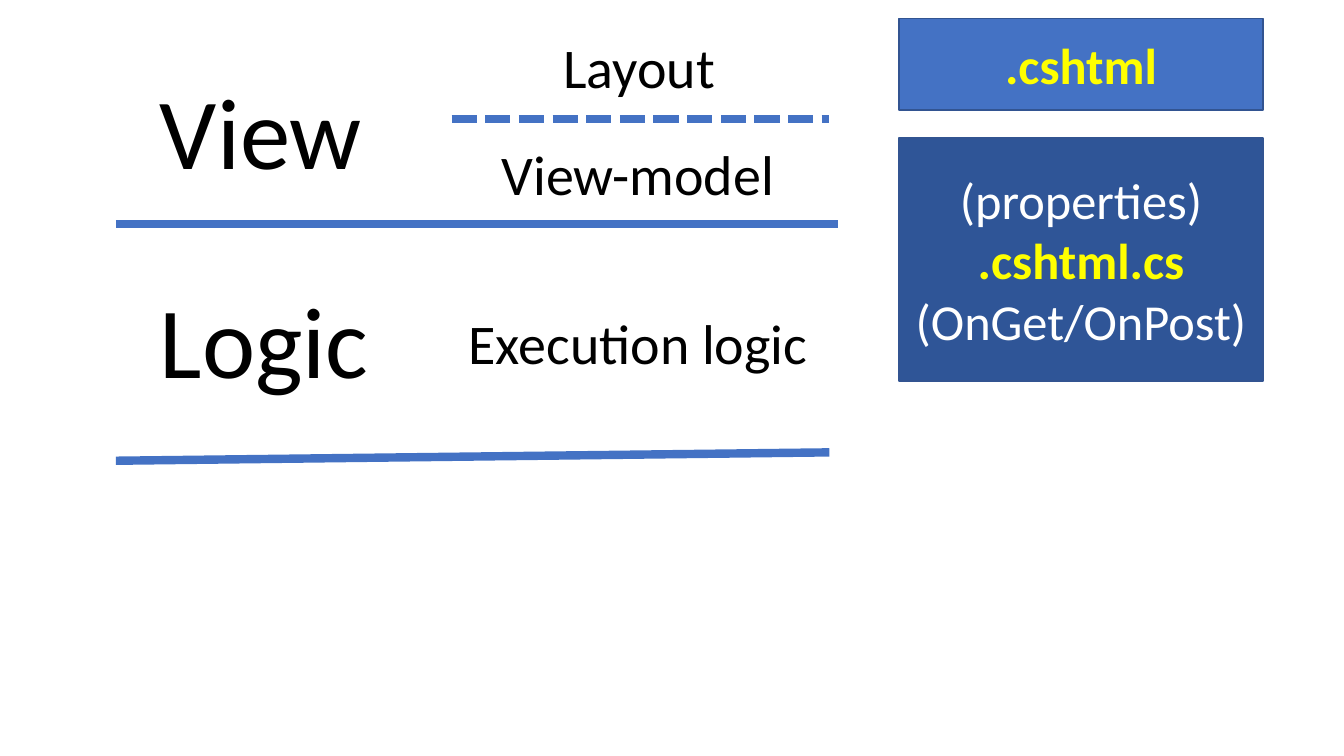
from pptx import Presentation
from pptx.dml.color import RGBColor
from pptx.enum.dml import MSO_LINE
from pptx.enum.shapes import MSO_CONNECTOR, MSO_SHAPE
from pptx.enum.text import MSO_ANCHOR, MSO_AUTO_SIZE, PP_ALIGN
from pptx.oxml.ns import qn
from pptx.util import Cm, Pt
from lxml.etree import SubElement

BLUE = "4472C4"
DARK_BLUE = "2F5597"
OUTLINE = "325491"
YELLOW = "FFFF00"
WHITE = "FFFFFF"
BLACK = "000000"


def color(hex_value):
    """Turn a hex string into a colour."""
    return RGBColor.from_string(hex_value)


def style_paragraph(para, text, size, hex_value, bold=False):
    """Write one paragraph in Calibri."""
    para.text = text
    para.font.name = "Calibri"
    para.font.size = Pt(size)
    para.font.bold = bold
    para.font.color.rgb = color(hex_value)


def add_divider(page, start, end, dash=None):
    """Draw a thick blue rule between two points."""
    line = page.shapes.add_connector(
        MSO_CONNECTOR.STRAIGHT, *map(Cm, start), *map(Cm, end))
    line.line.color.rgb = color(BLUE)
    line.line.width = Pt(6)
    if dash is not None:
        line.line.dash_style = dash
    SubElement(line._element.spPr, qn("a:effectLst"))


def add_label(page, left, top, width, height, text, size):
    """Place one line of unwrapped black text."""
    box = page.shapes.add_textbox(Cm(left), Cm(top), Cm(width), Cm(height))
    box.text_frame.word_wrap = False
    box.text_frame.auto_size = MSO_AUTO_SIZE.SHAPE_TO_FIT_TEXT
    style_paragraph(box.text_frame.paragraphs[0], text, size, BLACK)


def add_layers(page, left, top, width, height):
    """Draw the view and logic layers with their dividers and parts."""
    right = left + width
    short_right = right - 0.21
    middle = top + 4.95
    bottom = top + height
    add_divider(page, (left, middle), (right, middle))
    add_divider(page, (left, bottom), (short_right, bottom - 0.21))
    add_divider(page, (left + 8.46, top + 2.31), (short_right, top + 2.31),
                MSO_LINE.SQUARE_DOT)

    for text, offset, label_width in (("View", 0.91, 5.66), ("Logic", 6.19, 5.82)):
        add_label(page, left + 0.86, top + offset, label_width, 3.33, text, 72)

    center = left + 13.21
    parts = (("Layout", 0, 4.37), ("View-model", 2.71, 7.47),
             ("Execution logic", 6.96, 9.14))
    for text, offset, label_width in parts:
        add_label(page, center - label_width / 2, top + offset,
                  label_width, 1.96, text, 40)


def add_file_panel(page, left, top, width, height, fill, lines):
    """Draw a file panel with centred lines, file names in bold yellow."""
    panel = page.shapes.add_shape(
        MSO_SHAPE.RECTANGLE, Cm(left), Cm(top), Cm(width), Cm(height))
    panel.shadow.inherit = False
    panel.fill.solid()
    panel.fill.fore_color.rgb = color(fill)
    panel.line.color.rgb = color(OUTLINE)
    panel.line.width = Pt(1)
    frame = panel.text_frame
    frame.word_wrap = True
    frame.vertical_anchor = MSO_ANCHOR.MIDDLE
    for index, text in enumerate(lines):
        para = frame.add_paragraph() if index else frame.paragraphs[0]
        is_file = text.startswith(".")
        style_paragraph(para, text, 36, YELLOW if is_file else WHITE, is_file)
        para.alignment = PP_ALIGN.CENTER


def add_files(page, left, top, width):
    """Stack the two file panels beside the layers."""
    add_file_panel(page, left, top, width, 2.31, BLUE, [".cshtml"])
    add_file_panel(page, left, top + 3.02, width, 6.12, DARK_BLUE,
                   ["(properties)", ".cshtml.cs", "(OnGet/OnPost)"])


def main():
    """Build and save the deck."""
    deck = Presentation()
    deck.slide_width = Cm(33.87)
    deck.slide_height = Cm(19.05)
    page = deck.slides.add_slide(deck.slide_layouts.get_by_name("Blank"))
    add_layers(page, 2.92, 0.69, 18.19, 10.92)
    add_files(page, 22.66, 0.46, 9.17)
    deck.save("out.pptx")


if __name__ == "__main__":
    main()
